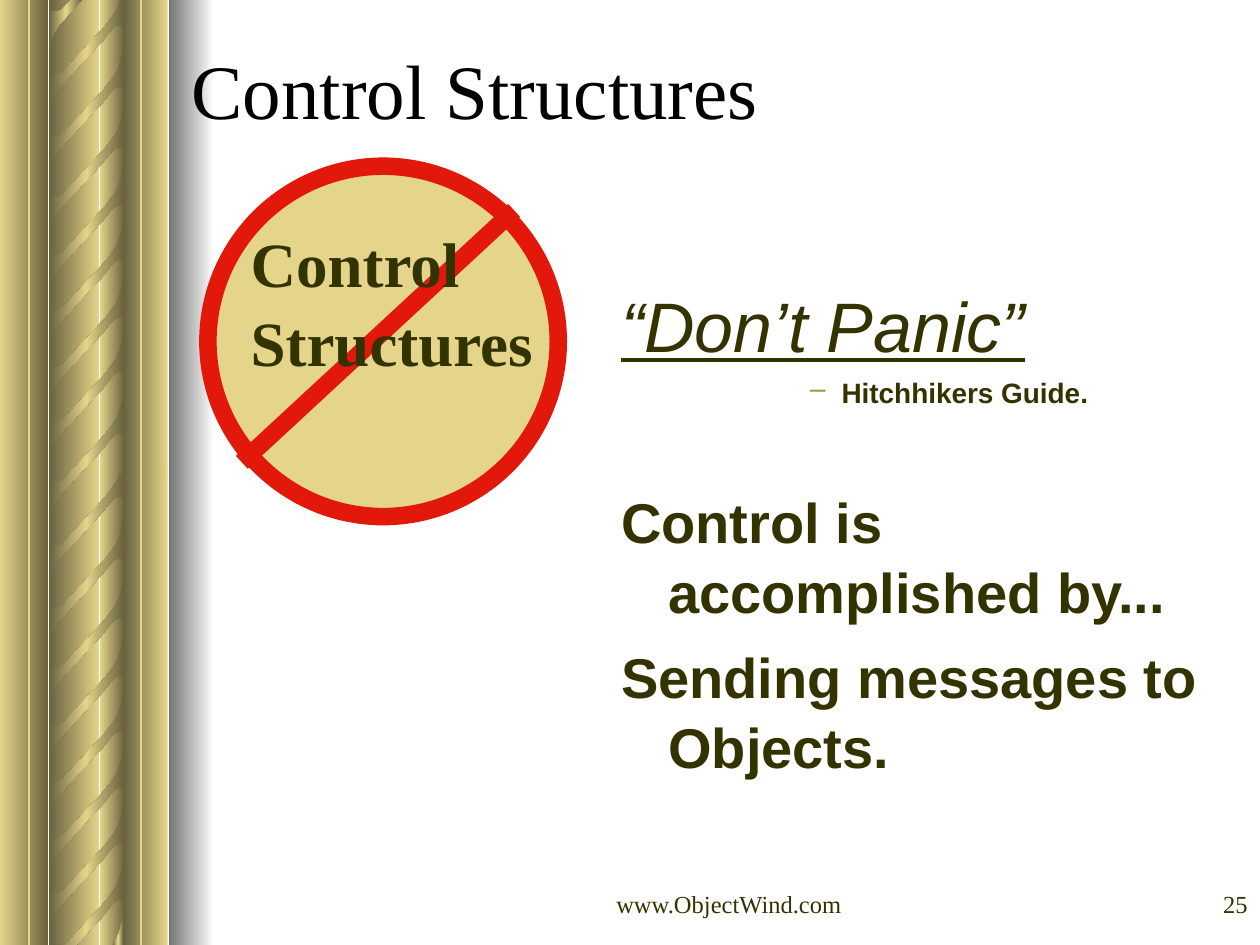
import lxml.etree
import pptx
import pptx.dml.color
import pptx.enum.shapes
import pptx.enum.text
import pptx.oxml.ns
import pptx.util

Pt = pptx.util.Pt
ALIGN = pptx.enum.text.PP_ALIGN
ANCHOR = pptx.enum.text.MSO_ANCHOR

THEME = {
    "gold": "E5D58A", "bronze": "69623F", "white": "FFFFFF", "gray": "757575",
    "black": "000000", "olive": "333300", "bullet": "999933", "red": "E2180B",
    "serif": "Times New Roman", "sans": "Arial",
    "title": 44, "quote": 40, "label": 36, "body": 32, "source": 16, "footer": 14,
}
WIDTH, HEIGHT = 720, 540

HALF_TOPS = (-0.7, 268.6)
HALF_HEIGHT = 271.4
COLUMNS = [
    (56.9, 14.4, ("bronze", "gold")),
    (0, 27.4, ("bronze", "gold")),
    (28.1, 28.8, ("gold", "bronze")),
    (70.6, 25.2, ("gold", "bronze")),
]
STRAND = [
    (70.6, 6.5), (70.6, 23.8), (69.8, 23), (67, 23), (65.5, 23.8), (63.4, 25.9),
    (58.3, 32.4), (46.1, 45.4), (33.8, 59), (31.7, 62.6), (29.5, 67), (28.8, 72.7),
    (28.1, 80.6), (28.1, 45.4), (28.1, 49), (28.8, 50.4), (30.2, 51.1), (31.7, 51.1),
    (33.1, 51.1), (35.3, 50.4), (59.8, 23.8), (64.8, 17.3), (67, 13.7), (68.4, 10.1),
    (69.8, 4.3), (70.6, 0), (70.6, 14.4),
]
STRAND_OFFSETS = (61.9, 95, 126.7, 159.1, 190.8, 27.4, -7.9)
END_OFFSETS = {-0.7: (-44, 225.4), 268.6: (223.2, 253.4)}
HIGHLIGHTS = (16.6, 80.6)

SERIF_LABEL = {"name": THEME["serif"], "size": THEME["label"], "color": "olive", "bold": True}
FOOTER = {"name": THEME["serif"], "size": THEME["footer"], "color": "olive"}
BODY = {"name": THEME["sans"], "size": THEME["body"], "color": "olive", "bold": True}
HANGING = {"margin": 27, "indent": -27, "line_spacing": 1.05}

TITLE = [("Control Structures",
          {"name": THEME["serif"], "size": THEME["title"], "color": "black", "bold": False},
          {"alignment": ALIGN.LEFT})]
LABEL = [(word, SERIF_LABEL, {"line_spacing": 1.05}) for word in ("Control", "Structures")]
MESSAGE = [
    ("“Don’t Panic”",
     {**BODY, "size": THEME["quote"], "bold": False, "italic": True, "underline": True}, HANGING),
    ("Hitchhikers Guide.", {**BODY, "size": THEME["source"]},
     {"level": 3, "margin": 126, "indent": -18, "bullet": "–", "space_before": Pt(4),
      "line_spacing": 1.05}),
    ("Control is accomplished by...", BODY, {**HANGING, "space_before": Pt(43)}),
    ("Sending messages to Objects.", BODY, {**HANGING, "space_before": Pt(8)}),
]
TEXT_BOXES = [
    ((136.1, 122.4, 217.4, 93.6), ANCHOR.TOP, LABEL),
    ((347.8, 155.5, 354.2, 360), ANCHOR.TOP, MESSAGE),
    ((293.8, 498.2, 228.2, 36), ANCHOR.MIDDLE,
     [("www.ObjectWind.com", FOOTER, {"alignment": ALIGN.CENTER, "margin": 17.3, "indent": 0})]),
    ((570.2, 498.2, 149.8, 36), ANCHOR.MIDDLE,
     [("25", FOOTER, {"alignment": ALIGN.RIGHT, "margin": 17.3, "indent": 0})]),
]


def color(name):
    return pptx.dml.color.RGBColor.from_string(THEME[name])


def add_child(parent, tag, **attributes):
    return lxml.etree.SubElement(parent, pptx.oxml.ns.qn(tag), attributes)


def fill_gradient(shape, names):
    shape.shadow.inherit = False
    shape.line.fill.background()
    shape.fill.gradient()
    shape.fill.gradient_angle = 180
    stops = shape.element.spPr.find(".//" + pptx.oxml.ns.qn("a:gsLst"))
    for stop in list(stops):
        stops.remove(stop)
    for index, name in enumerate(names):
        position = 100000 * index // (len(names) - 1)
        stop = add_child(stops, "a:gs", pos=str(position))
        add_child(stop, "a:srgbClr", val=THEME[name])


def add_panel(slide, box, names):
    shape = slide.shapes.add_shape(
        pptx.enum.shapes.MSO_SHAPE.RECTANGLE, *(Pt(value) for value in box))
    fill_gradient(shape, names)


def add_line(slide, start, end, name, width):
    line = slide.shapes.add_connector(
        pptx.enum.shapes.MSO_CONNECTOR.STRAIGHT, *(Pt(value) for value in start + end))
    line.line.color.rgb = color(name)
    line.line.width = Pt(width)
    add_child(line.element.spPr, "a:effectLst")


def clip(points, limit, direction):
    clipped = []
    for index, (x, y) in enumerate(points):
        last_x, last_y = points[index - 1]
        inside = direction * (y - limit) >= 0
        if inside != (direction * (last_y - limit) >= 0):
            clipped.append((last_x + (x - last_x) * (limit - last_y) / (y - last_y), limit))
        if inside:
            clipped.append((x, y))
    return clipped


def add_strand(slide, top, offset):
    points = [(x, y + top + offset) for x, y in STRAND]
    points = clip(clip(points, top, 1), HEIGHT, -1)
    corners = [(Pt(x), Pt(y)) for x, y in points]
    builder = slide.shapes.build_freeform(*corners[0], scale=1.0)
    builder.add_line_segments(corners[1:], close=True)
    fill_gradient(builder.convert_to_shape(), ("bronze", "gold", "bronze"))


def add_rope_border(slide):
    for top in reversed(HALF_TOPS):
        for left, width, names in COLUMNS:
            add_panel(slide, (left, top, width, HALF_HEIGHT), names)
        for offset in STRAND_OFFSETS + END_OFFSETS[top]:
            add_strand(slide, top, offset)
    add_panel(slide, (96.5, 0, 25.9, HEIGHT), ("white", "gray"))
    for x in HIGHLIGHTS:
        add_line(slide, (x, 0), (x, HEIGHT), "gold", 1)


def write_text(frame, anchor, paragraphs):
    frame.word_wrap = True
    frame.auto_size = pptx.enum.text.MSO_AUTO_SIZE.NONE
    frame.vertical_anchor = anchor
    for index, (text, font, layout) in enumerate(paragraphs):
        paragraph = frame.paragraphs[0] if index == 0 else frame.add_paragraph()
        paragraph.text = text
        layout = dict(layout)
        properties = paragraph._p.get_or_add_pPr()
        for key, attribute in (("margin", "marL"), ("indent", "indent")):
            if key in layout:
                properties.set(attribute, str(Pt(layout.pop(key))))
        bullet = layout.pop("bullet", None)
        if bullet:
            add_child(add_child(properties, "a:buClr"), "a:srgbClr", val=THEME["bullet"])
            add_child(properties, "a:buChar", char=bullet)
        for key, value in layout.items():
            setattr(paragraph, key, value)
        for key, value in font.items():
            if key == "color":
                paragraph.runs[0].font.color.rgb = color(value)
            else:
                setattr(paragraph.runs[0].font, key, Pt(value) if key == "size" else value)


def add_prohibition_sign(slide):
    circle = slide.shapes.add_shape(
        pptx.enum.shapes.MSO_SHAPE.OVAL, Pt(118.8), Pt(95), Pt(200.2), Pt(200.2))
    circle.shadow.inherit = False
    circle.fill.solid()
    circle.fill.fore_color.rgb = color("gold")
    circle.line.color.rgb = color("red")
    circle.line.width = Pt(10)
    add_line(slide, (293.8, 120.2), (138.2, 264.2), "red", 10)


def main():
    presentation = pptx.Presentation()
    presentation.slide_width, presentation.slide_height = Pt(WIDTH), Pt(HEIGHT)
    slide = presentation.slides.add_slide(presentation.slide_layouts[5])
    title = slide.shapes.title
    title.left, title.top, title.width, title.height = Pt(102.2), Pt(5.8), Pt(612), Pt(90)
    write_text(title.text_frame, ANCHOR.MIDDLE, TITLE)
    add_rope_border(slide)
    slide.shapes._spTree.append(title.element)
    add_prohibition_sign(slide)
    for box, anchor, paragraphs in TEXT_BOXES:
        text_box = slide.shapes.add_textbox(*(Pt(value) for value in box))
        write_text(text_box.text_frame, anchor, paragraphs)
    presentation.save("out.pptx")


if __name__ == "__main__":
    main()
